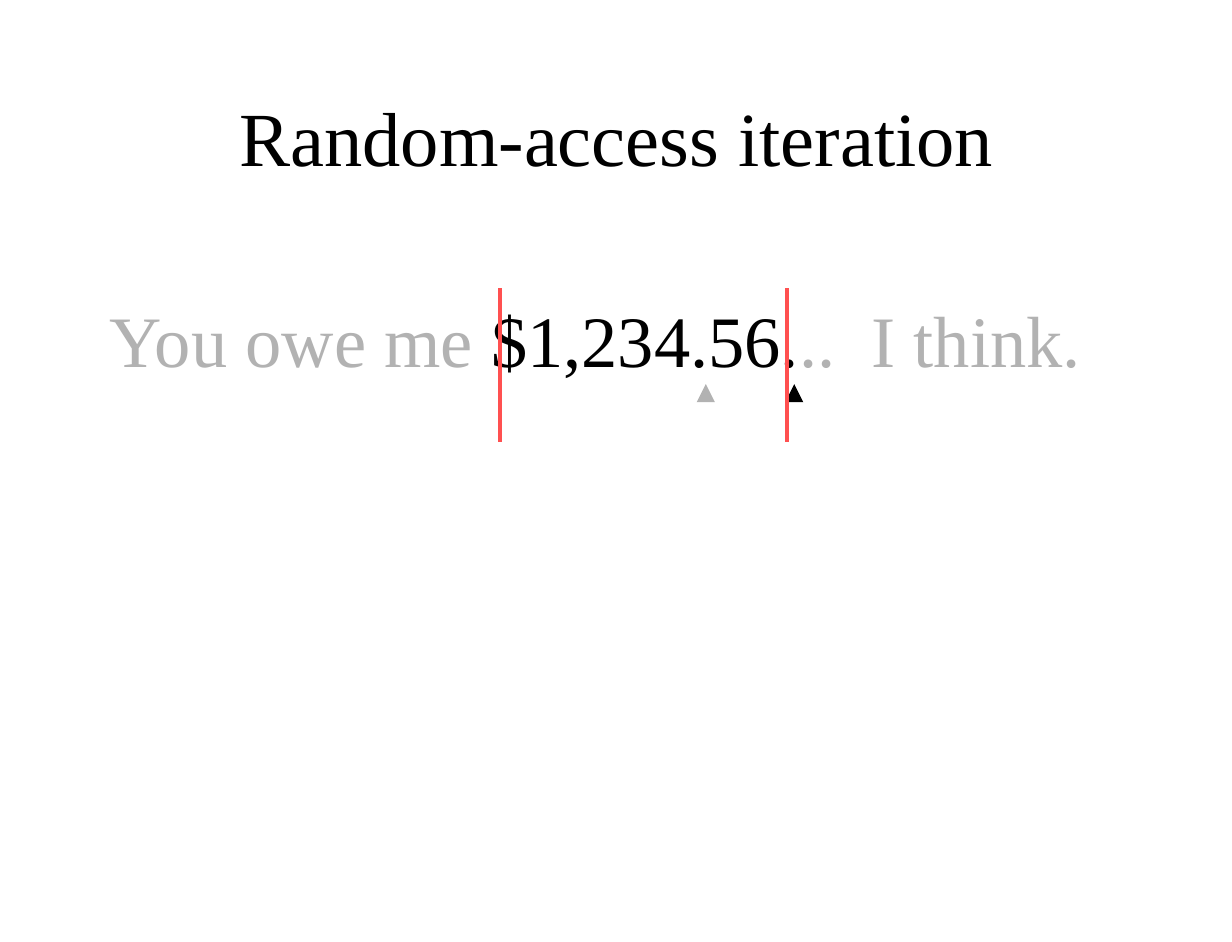
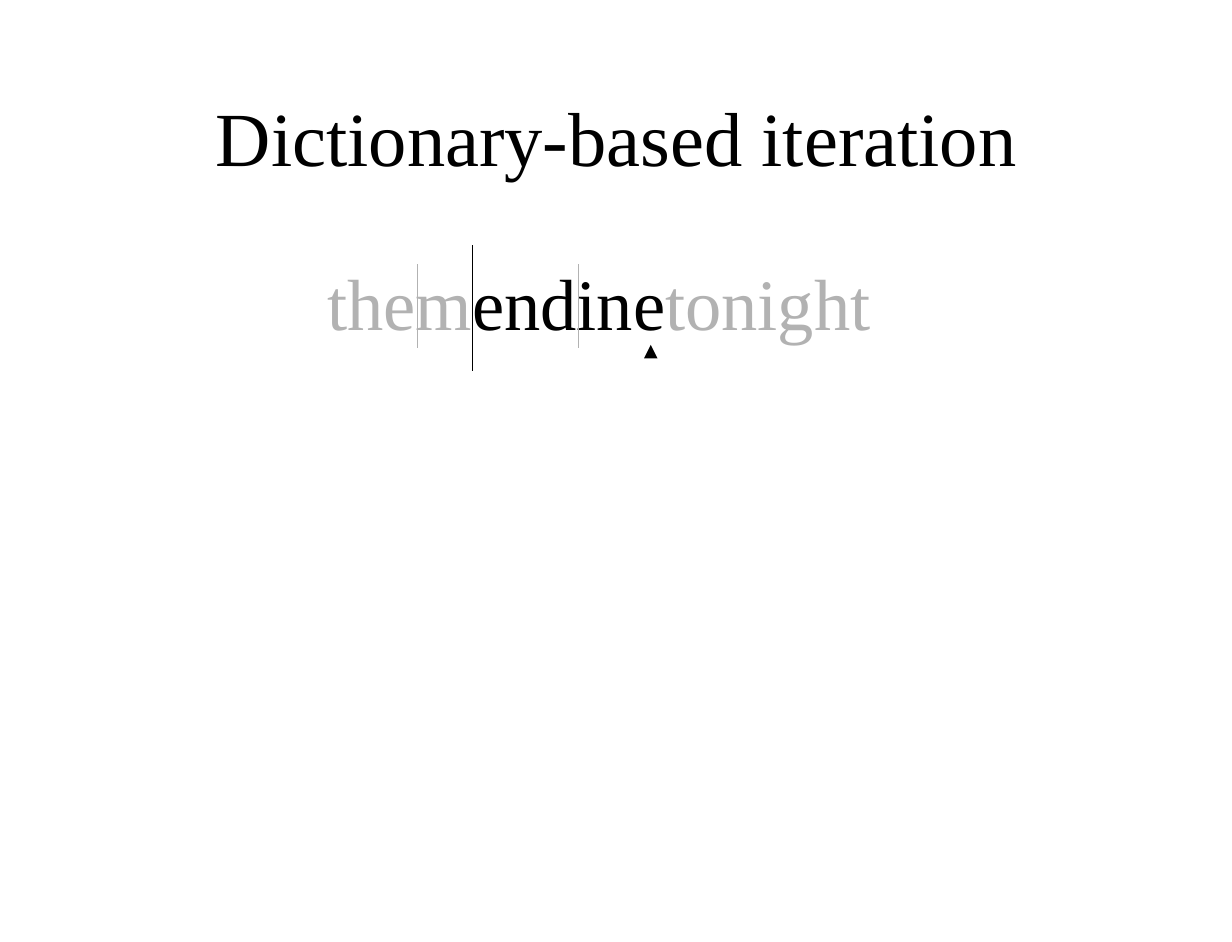
from dataclasses import dataclass

from pptx import Presentation
from pptx import util as u
from pptx.dml.color import RGBColor
from pptx.enum import shapes, text
from pptx.oxml import parse_xml
from pptx.oxml.ns import nsdecls

PX = 9144
FONT = "Times New Roman"
INK = {"black": "000000", "gray": "B2B2B2", "red": "FF5050"}


@dataclass
class Run:
    words: str
    ink: str


@dataclass
class Style:
    size: int
    align: text.PP_ALIGN
    side: int
    edge: int


@dataclass
class Mark:
    x: int
    top: int
    end: int
    ink: str
    width: float
    head: bool = False


@dataclass
class Page:
    title: str
    box: tuple[int, int, int, int]
    runs: list[Run]
    marks: list[Mark]


TITLE = Style(38, text.PP_ALIGN.CENTER, 9, 4)
BODY = Style(36, text.PP_ALIGN.LEFT, 10, 5)

PAGES = [
    Page(
        "Random-access iteration",
        (66, 199, 707, 70),
        [Run("You owe me ", "gray"), Run("$1,234.56.", "black"), Run("..  I think.", "gray")],
        [
            Mark(487, 270, 265, "gray", 3, True),
            Mark(548, 270, 265, "black", 3, True),
            Mark(345, 199, 305, "red", 2.25),
            Mark(543, 199, 305, "red", 2.25),
        ],
    ),
    Page(
        "Dictionary-based iteration",
        (216, 173, 407, 70),
        [Run("them", "gray"), Run("endine", "black"), Run("tonight", "gray")],
        [
            Mark(449, 239, 238, "black", 2.25, True),
            Mark(288, 240, 182, "gray", 0.75),
            Mark(326, 256, 169, "black", 0.75),
            Mark(399, 240, 182, "gray", 0.75),
        ],
    ),
]


def px(size: int) -> u.Emu:
    return u.Emu(size * PX)


def color(ink: str) -> RGBColor:
    return RGBColor.from_string(INK[ink])


def write(shape, runs: list[Run], style: Style) -> None:
    frame = shape.text_frame
    frame.word_wrap = True
    frame.auto_size = text.MSO_AUTO_SIZE.NONE
    frame.vertical_anchor = text.MSO_ANCHOR.TOP
    frame.margin_left = frame.margin_right = px(style.side)
    frame.margin_top = frame.margin_bottom = px(style.edge)
    para = frame.paragraphs[0]
    para.alignment = style.align
    para.space_before = u.Pt(0)
    for part in runs:
        run = para.add_run()
        run.text = part.words
        run.font.name = FONT
        run.font.size = u.Pt(style.size)
        run.font.color.rgb = color(part.ink)


def draw(slide, mark: Mark) -> None:
    line = slide.shapes.add_connector(
        shapes.MSO_CONNECTOR.STRAIGHT, px(mark.x), px(mark.top), px(mark.x), px(mark.end)
    )
    line.line.color.rgb = color(mark.ink)
    line.line.width = u.Pt(mark.width)
    if mark.head:
        line.line._get_or_add_ln().append(
            parse_xml(f'<a:tailEnd {nsdecls("a")} type="triangle"/>')
        )
    line._element.spPr.append(parse_xml(f'<a:effectLst {nsdecls("a")}/>'))


def build(deck, page: Page) -> None:
    slide = deck.slides.add_slide(deck.slide_layouts[5])
    title = slide.shapes.title
    title.left, title.top, title.width, title.height = map(px, (64, 58, 723, 108))
    write(title, [Run(page.title, "black")], TITLE)
    box = slide.shapes.add_textbox(*map(px, page.box))
    write(box, page.runs, BODY)
    for mark in page.marks:
        draw(slide, mark)


def main() -> None:
    deck = Presentation()
    deck.slide_width, deck.slide_height = px(850), px(650)
    for page in PAGES:
        build(deck, page)
    deck.save("out.pptx")


if __name__ == "__main__":
    main()
